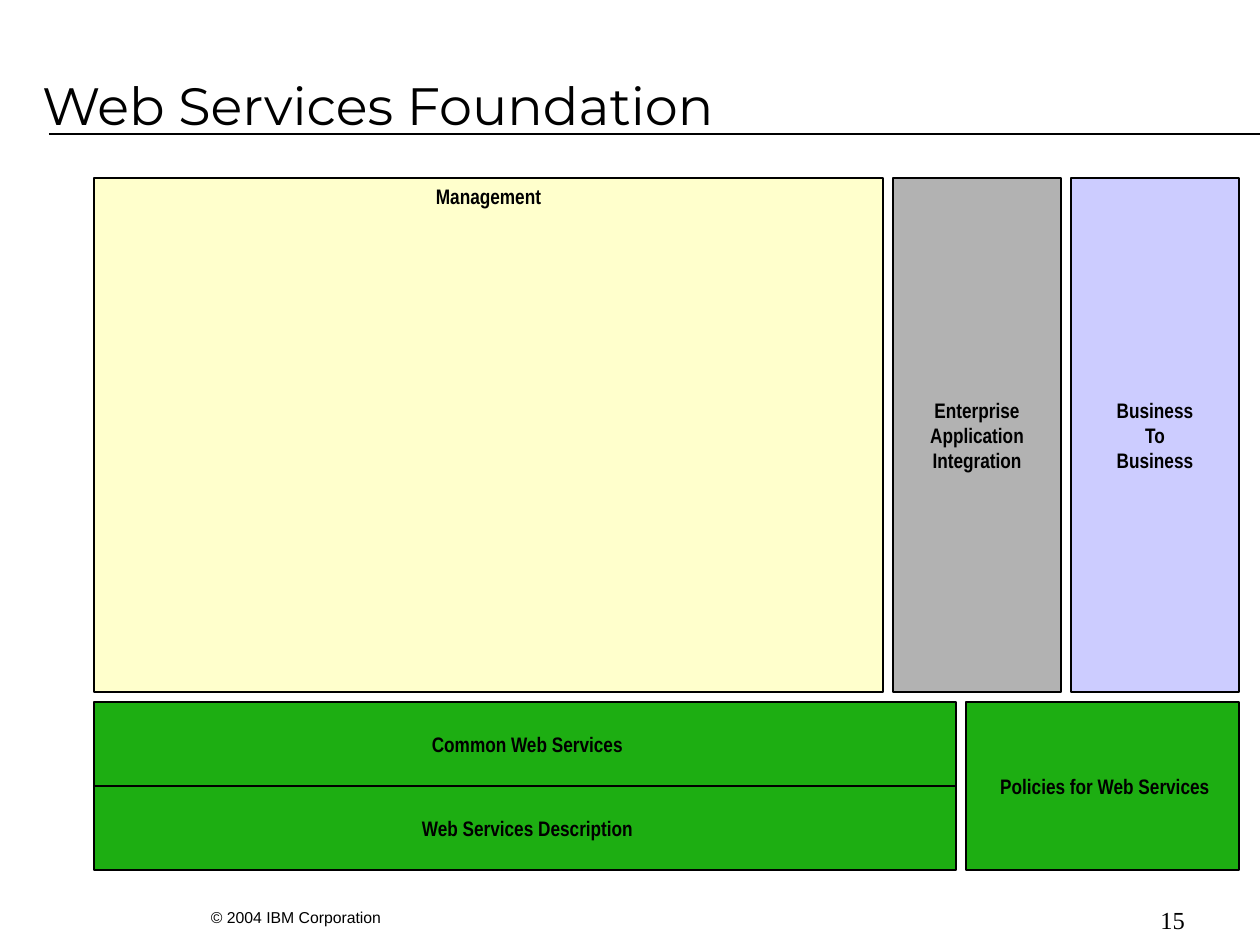
from pptx import Presentation
from pptx.dml.color import RGBColor
from pptx.enum.shapes import MSO_CONNECTOR, MSO_SHAPE
from pptx.enum.text import MSO_ANCHOR as Anchor, PP_ALIGN as Align
from pptx.oxml.ns import qn
from pptx.util import Emu, Pt
from lxml.etree import SubElement

PX = 914400 / 126
COLORS = {
    "ink": "000000",
    "management": "FFFFCC",
    "integration": "B2B2B2",
    "business": "CCCCFF",
    "services": "1DAE12",
}
GAP = 10


def px(*lengths):
    """Turn pixel lengths into EMU."""
    return [Emu(round(n * PX)) for n in lengths]


def rgb(name):
    """Look up a palette colour."""
    return RGBColor.from_string(COLORS[name])


def write(sp, text, font="Arial Narrow", size=12, bold=False, align=Align.LEFT,
          anchor=Anchor.MIDDLE, wrap=True, inset=(13, 6)):
    """Fill a shape with formatted text, one paragraph a line."""
    tf = sp.text_frame
    tf.word_wrap = wrap
    tf.vertical_anchor = anchor
    tf.margin_left, tf.margin_top = tf.margin_right, tf.margin_bottom = px(*inset)
    for i, line in enumerate(text.split("\n")):
        p = tf.add_paragraph() if i else tf.paragraphs[0]
        p.alignment = align
        r = p.add_run()
        r.text = line
        r.font.name, r.font.size, r.font.bold = font, Pt(size), bold
        r.font.color.rgb = rgb("ink")


def add_text(s, box, text, **fmt):
    """Add a text box."""
    write(s.shapes.add_textbox(*px(*box)), text, **fmt)


def add_block(s, box, text, fill, anchor=Anchor.MIDDLE):
    """Add an outlined block with a bold centred label."""
    sp = s.shapes.add_shape(MSO_SHAPE.RECTANGLE, *px(*box))
    sp.shadow.inherit = False
    sp.fill.solid()
    sp.fill.fore_color.rgb = rgb(fill)
    sp.line.color.rgb = rgb("ink")
    sp.line.width = Pt(0.75)
    write(sp, text, bold=True, align=Align.CENTER, anchor=anchor, wrap=False)


def add_line(s, x1, y1, x2, y2):
    """Add a thin straight line."""
    line = s.shapes.add_connector(MSO_CONNECTOR.STRAIGHT, *px(x1, y1, x2, y2))
    line.line.color.rgb = rgb("ink")
    line.line.width = Pt(0.75)
    SubElement(line._element.spPr, qn("a:effectLst"))


def add_header(s, x, y, w, h):
    """Place the title and the rule beneath it."""
    title = s.shapes.title
    title.left, title.top, title.width, title.height = px(x, y, w, h)
    write(title, "Web Services Foundation", font="Montserrat", size=30)
    add_line(s, x + 20, y + 66, 1260, y + 66)


def add_foundation(s, x, y, w, h):
    """Place the two stacked service layers and the policies block."""
    policies_w = 273
    layer_w, layer_h = w - policies_w - GAP, h // 2
    add_block(s, (x + w - policies_w, y, policies_w, h),
              " Policies for Web Services", "services")
    for i, name in enumerate((" Common Web Services", " Web Services Description")):
        add_block(s, (x, y + i * layer_h, layer_w, layer_h), name, "services")
    add_line(s, x, y + layer_h, x + layer_w, y + layer_h)


def add_columns(s, x, y, w, h):
    """Place the management area and the two columns to its right."""
    column_w = 168
    area_w = w - 2 * (column_w + GAP)
    add_block(s, (x, y, area_w, h), "Management", "management", Anchor.TOP)
    columns = (("Enterprise\nApplication\nIntegration", "integration"),
               ("Business\nTo\nBusiness", "business"))
    for i, (name, fill) in enumerate(columns):
        left = x + area_w + GAP + i * (column_w + GAP)
        add_block(s, (left, y, column_w, h), name, fill)


def add_footer(s, x, y, w, h):
    """Place the copyright line and the page number."""
    add_text(s, (x, y, 213, h), "© 2004 IBM Corporation", font="Arial", size=9,
             inset=(13, 6))
    add_text(s, (x + w - 120, y + 2, 120, h), "15", font="Times New Roman", size=14,
             align=Align.RIGHT)


def main():
    """Build and save the slide."""
    prs = Presentation()
    prs.slide_width, prs.slide_height = px(1260, 945)
    s = prs.slides.add_slide(prs.slide_layouts[5])
    add_header(s, 29, 68, 1206, 73)
    add_footer(s, 198, 902, 1000, 31)
    add_foundation(s, 94, 702, 1145, 168)
    add_columns(s, 94, 178, 1145, 514)
    prs.save("out.pptx")


if __name__ == "__main__":
    main()
